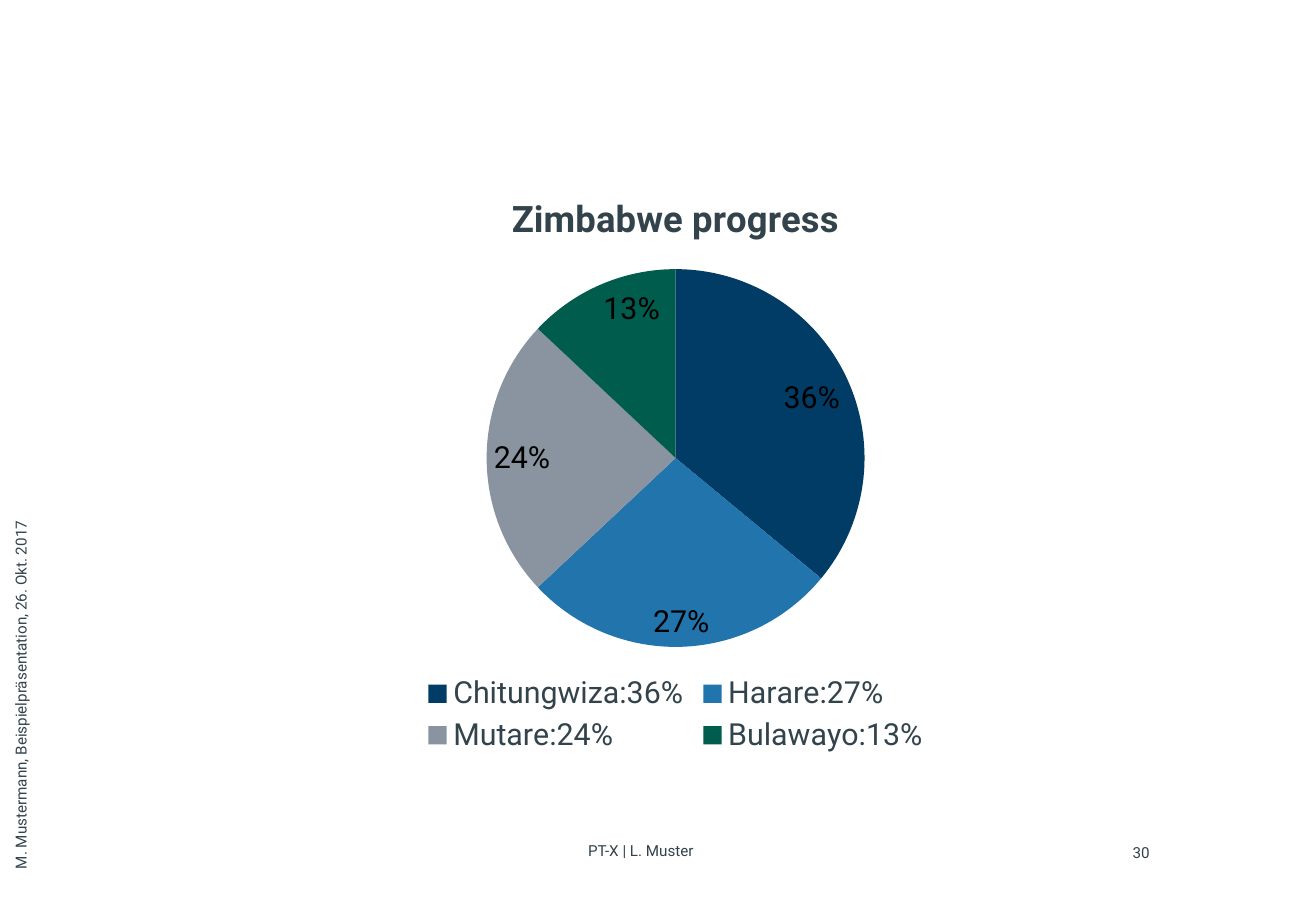
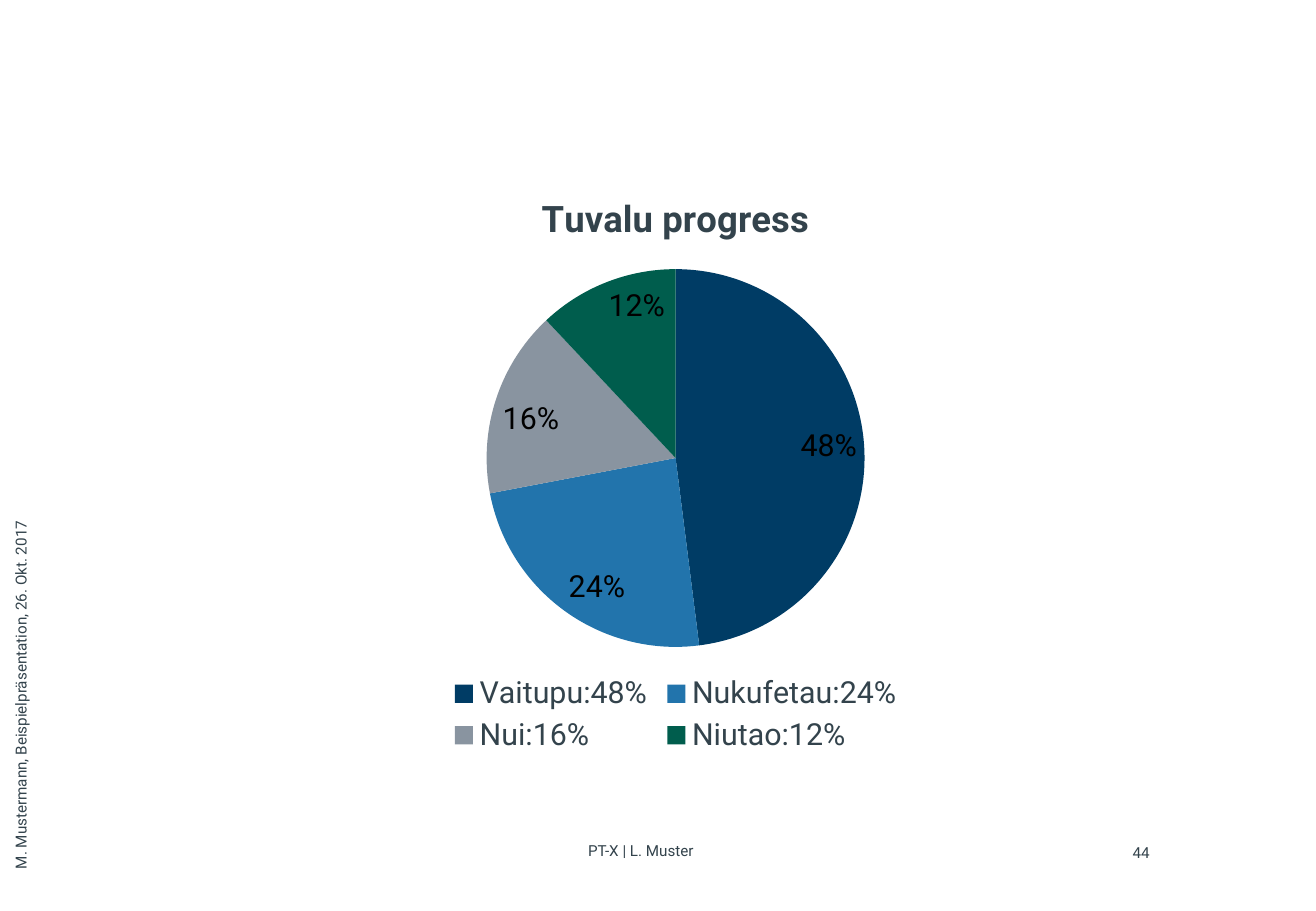
from lxml import etree
from pptx import Presentation
from pptx.chart.data import CategoryChartData
from pptx.dml.color import RGBColor
from pptx.enum import chart as ch, text
from pptx.oxml.ns import qn
from pptx.util import Inches, Pt

INK = RGBColor(0x33, 0x43, 0x4C)
BLACK = RGBColor(0, 0, 0)
SLICE_COLOURS = [
    RGBColor(0x00, 0x3C, 0x65),
    RGBColor(0x22, 0x74, 0xAC),
    RGBColor(0x89, 0x94, 0xA0),
    RGBColor(0x00, 0x5D, 0x4D),
]
FONT = "Roboto"
CHART_AREA = (2.78, 1.39, 5.56, 4.86)
PIE_LAYOUT = {"x": 0.22, "y": 0.17, "w": 0.56, "h": 0.64}

FOOTERS = [
    ("PT-X | L. Muster", (4.84, 6.93, 3.06, 0.22), text.PP_ALIGN.LEFT, 0),
    ("{number}", (9.07, 6.94, 0.39, 0.16), text.PP_ALIGN.RIGHT, 0),
    ("M. Mustermann, Beispielpräsentation, 26. Okt. 2017",
     (-1.5, 5.34, 3.41, 0.22), text.PP_ALIGN.LEFT, 270),
]

SLIDES = [
    {"number": 30, "country": "Zimbabwe",
     "shares": {"Chitungwiza": 36, "Harare": 27, "Mutare": 24, "Bulawayo": 13}},
    {"number": 44, "country": "Tuvalu",
     "shares": {"Vaitupu": 48, "Nukufetau": 24, "Nui": 16, "Niutao": 12}},
]


def style(font, size, colour=INK, bold=False):
    for name, value in {"name": FONT, "size": Pt(size), "bold": bold}.items():
        setattr(font, name, value)
    font.color.rgb = colour


def add_footers(slide, number):
    for wording, area, alignment, rotation in FOOTERS:
        footer = slide.shapes.add_textbox(*map(Inches, area))
        footer.rotation = rotation
        frame = footer.text_frame
        frame.word_wrap = True
        for side in ("left", "top", "right", "bottom"):
            setattr(frame, f"margin_{side}", 0)
        paragraph = frame.paragraphs[0]
        paragraph.alignment = alignment
        run = paragraph.add_run()
        run.text = wording.format(number=number)
        style(run.font, 9)


def place_pie(chart):
    plot_area = chart.plots[0]._element.getparent()
    for old in plot_area.findall(qn("c:layout")):
        plot_area.remove(old)
    layout = etree.Element(qn("c:layout"))
    manual = etree.SubElement(layout, qn("c:manualLayout"))
    settings = {"layoutTarget": "inner", "xMode": "edge", "yMode": "edge", **PIE_LAYOUT}
    for name, value in settings.items():
        etree.SubElement(manual, qn(f"c:{name}")).set("val", str(value))
    plot_area.insert(0, layout)


def add_progress_pie(slide, country, shares):
    progress = CategoryChartData()
    progress.categories = [f"{place}:{share}%" for place, share in shares.items()]
    progress.add_series("Series 1", list(shares.values()))
    chart = slide.shapes.add_chart(
        ch.XL_CHART_TYPE.PIE, *map(Inches, CHART_AREA), progress).chart
    style(chart.font, 18)

    chart.has_title = True
    heading = chart.chart_title.text_frame.paragraphs[0].add_run()
    heading.text = f"{country} progress"
    style(heading.font, 21.6, bold=True)

    chart.has_legend = True
    chart.legend.position = ch.XL_LEGEND_POSITION.BOTTOM
    chart.legend.include_in_layout = False
    style(chart.legend.font, 18)

    pie = chart.plots[0]
    pie.vary_by_categories = True
    for index, colour in enumerate(SLICE_COLOURS):
        fill = pie.series[0].points[index].format.fill
        fill.solid()
        fill.fore_color.rgb = colour

    pie.has_data_labels = True
    labels = pie.data_labels
    label_format = {
        "show_percentage": True, "show_value": False,
        "number_format": "0%", "number_format_is_linked": False,
        "position": ch.XL_LABEL_POSITION.INSIDE_END,
    }
    for name, value in label_format.items():
        setattr(labels, name, value)
    style(labels.font, 18, BLACK)
    place_pie(chart)


def main():
    deck = Presentation()
    deck.slide_width, deck.slide_height = Inches(10.83), Inches(7.5)
    blank_layout = deck.slide_layouts[6]
    for content in SLIDES:
        slide = deck.slides.add_slide(blank_layout)
        add_footers(slide, content["number"])
        add_progress_pie(slide, content["country"], content["shares"])
    deck.save("out.pptx")


if __name__ == "__main__":
    main()
